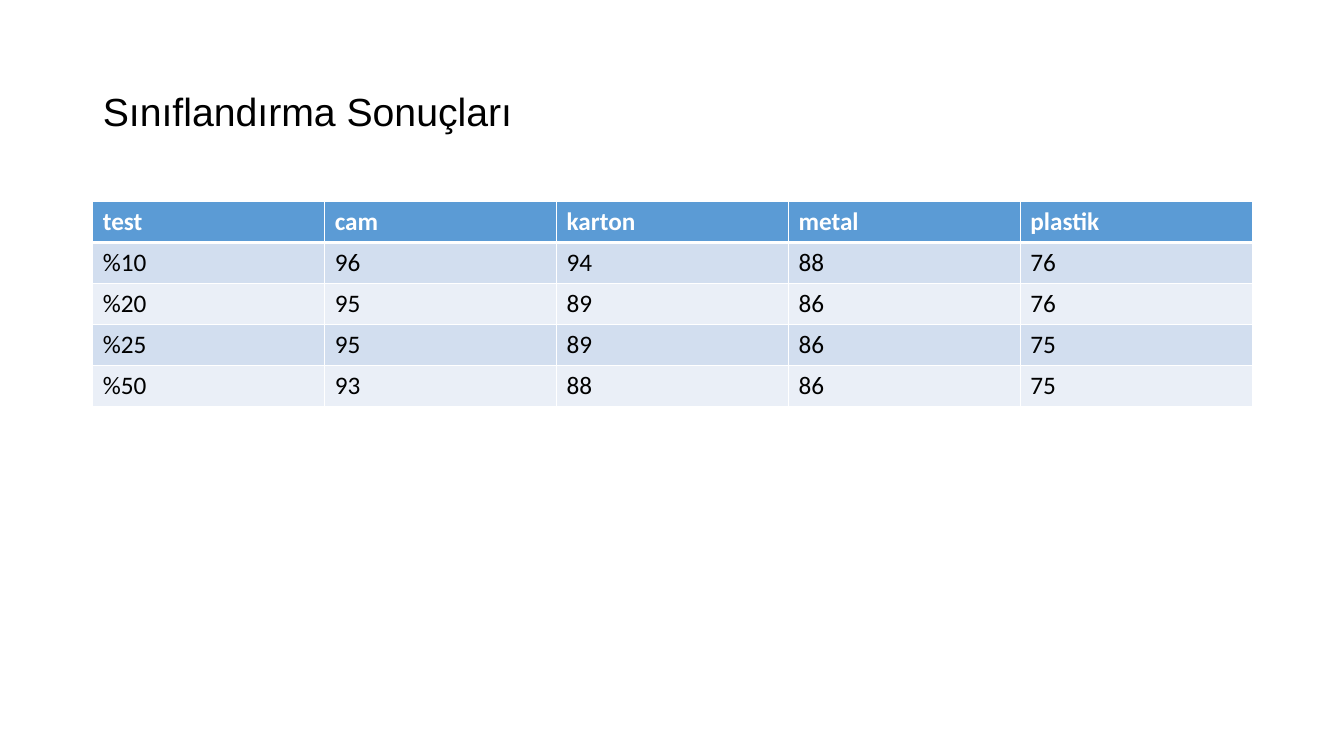
from dataclasses import dataclass

from lxml import etree
from pptx import Presentation
from pptx import util as u
from pptx.dml.color import RGBColor
from pptx.enum import text
from pptx.oxml import ns


@dataclass(frozen=True)
class Look:
    fill: str
    ink: str
    bold: bool = False
    top: int = 1
    base: int = 1


HEAD = Look("5B9BD5", "FFFFFF", bold=True, base=3)
FIRST = Look("D2DEEF", "000000", top=3)
ODD = Look("D2DEEF", "000000")
EVEN = Look("EAEFF7", "000000")

ROWS = [
    (HEAD, ("test", "cam", "karton", "metal", "plastik")),
    (FIRST, ("%10", 96, 94, 88, 76)),
    (EVEN, ("%20", 95, 89, 86, 76)),
    (ODD, ("%25", 95, 89, 86, 75)),
    (EVEN, ("%50", 93, 88, 86, 75)),
]
LEFT, WIDTH = u.Inches(0.92), u.Inches(11.5)


def color(code: str) -> RGBColor:
    return RGBColor.from_string(code)


def set_font(para, name: str, size: int, ink: str, bold: bool = False) -> None:
    font = para.font
    font.name, font.size, font.bold = name, u.Pt(size), bold
    font.color.rgb = color(ink)


def add_edge(cell, side: str, width: int) -> None:
    props = cell._tc.get_or_add_tcPr()
    line = etree.SubElement(props, ns.qn(f"a:{side}"), w=str(u.Pt(width)))
    fill = etree.SubElement(line, ns.qn("a:solidFill"))
    etree.SubElement(fill, ns.qn("a:srgbClr"), val="FFFFFF")


def draw_cell(cell, value: str | int, look: Look) -> None:
    cell.text = str(value)
    set_font(cell.text_frame.paragraphs[0], "Calibri", 18, look.ink, look.bold)
    # Borders come before the fill in the cell properties
    edges = {"lnL": 1, "lnR": 1, "lnT": look.top, "lnB": look.base}
    for side, width in edges.items():
        add_edge(cell, side, width)
    cell.fill.solid()
    cell.fill.fore_color.rgb = color(look.fill)


def draw_title(slide) -> None:
    title = slide.shapes.title
    title.left, title.top = LEFT, u.Inches(0.4)
    title.width, title.height = WIDTH, u.Inches(1.45)
    frame = title.text_frame
    frame.text = "Sınıflandırma Sonuçları"
    frame.vertical_anchor = text.MSO_ANCHOR.MIDDLE
    para = frame.paragraphs[0]
    para.alignment = text.PP_ALIGN.LEFT
    para.line_spacing = 0.9
    set_font(para, "Arial", 28, "000000")


def draw_table(slide) -> None:
    count = len(ROWS[0][1])
    frame = slide.shapes.add_table(
        len(ROWS), count, LEFT, u.Inches(2), WIDTH, u.Inches(2.03))
    for row, (look, values) in zip(frame.table.rows, ROWS):
        for cell, value in zip(row.cells, values):
            draw_cell(cell, value, look)


def main() -> None:
    deck = Presentation()
    deck.slide_width, deck.slide_height = u.Inches(13.33), u.Inches(7.5)
    slide = deck.slides.add_slide(deck.slide_layouts.get_by_name("Title Only"))
    draw_title(slide)
    draw_table(slide)
    deck.save("out.pptx")


if __name__ == "__main__":
    main()
